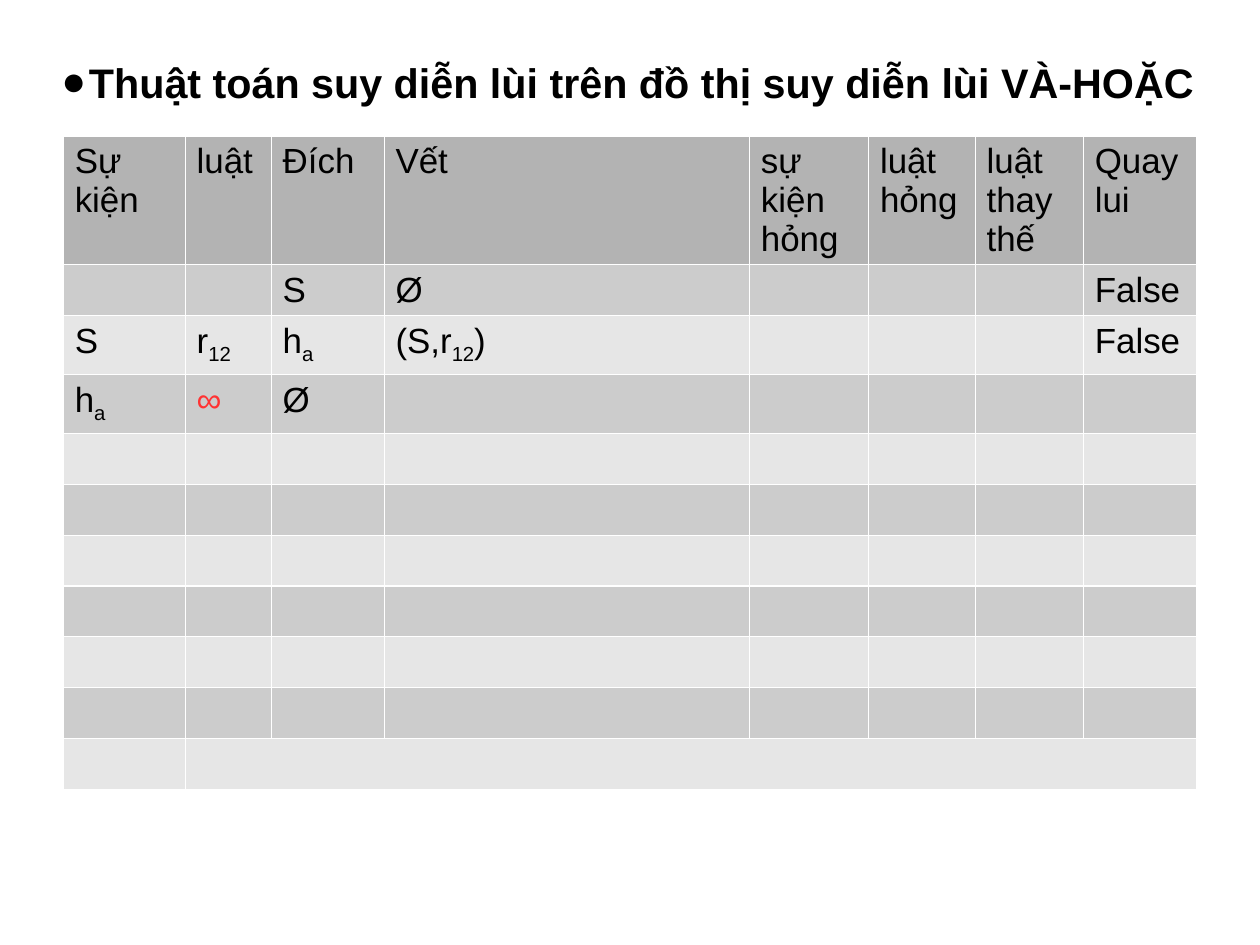
from lxml import etree
from pptx import Presentation
from pptx.dml.color import RGBColor
from pptx.enum.text import MSO_ANCHOR, MSO_AUTO_SIZE, PP_ALIGN
from pptx.oxml.ns import qn
from pptx.util import Pt

MIDDLE = MSO_ANCHOR.MIDDLE
NO_AUTOFIT = MSO_AUTO_SIZE.NONE
CENTER = PP_ALIGN.CENTER
TITLE_ONLY = 5

BLACK = RGBColor(0x00, 0x00, 0x00)
WHITE = RGBColor(0xFF, 0xFF, 0xFF)
RED = RGBColor(0xFF, 0x33, 0x33)
HEADER_GRAY = RGBColor(0xB3, 0xB3, 0xB3)
BANDS = (RGBColor(0xCC, 0xCC, 0xCC), RGBColor(0xE6, 0xE6, 0xE6))

HEADING = "Thuật toán suy diễn lùi trên đồ thị suy diễn lùi VÀ-HOẶC"
COLUMN_WIDTHS = (76.8, 54.2, 71.1, 230.2, 75, 67.2, 68.2, 71.2)
ROW_HEIGHTS = (81.2, 32, 37.2, 37.2) + (32,) * 7
STEPS = (
    ("Sự kiện", "luật", "Đích", "Vết", "sự kiện hỏng", "luật hỏng", "luật thay thế", "Quay lui"),
    ("", "", "S", "Ø", "", "", "", "False"),
    ("S", "r|12", "h|a", "(S,r|12|)", "", "", "", "False"),
    ("h|a", "∞", "Ø", "", "", "", "", ""),
)


def write(paragraph, text, *, size, color=BLACK, bold=False, font="Arial"):
    """Parts between bars alternate between normal text and subscript."""
    for position, part in enumerate(text.split("|")):
        if not part:
            continue
        run = paragraph.add_run()
        run.text = part
        run.font.name = font
        run.font.size = Pt(size)
        run.font.bold = bold
        run.font.color.rgb = color
        if position % 2:
            run._r.get_or_add_rPr().set("baseline", "-25000")


class SlideBuilder:
    heading_size = 26
    table_size = 22
    bullet_indent = 17.3
    border_width = 0.75

    def __init__(self, presentation):
        self.slide = presentation.slides.add_slide(presentation.slide_layouts[TITLE_ONLY])

    def heading(self, text, left, top, width, height):
        title = self.slide.shapes.title
        title.left, title.top, title.width, title.height = map(Pt, (left, top, width, height))
        frame = title.text_frame
        frame.margin_left = frame.margin_right = frame.margin_top = frame.margin_bottom = 0
        frame.vertical_anchor = MIDDLE
        frame.auto_size = NO_AUTOFIT
        frame.word_wrap = True
        paragraph = frame.paragraphs[0]
        paragraph.alignment = CENTER
        properties = paragraph._p.get_or_add_pPr()
        properties.set("marL", str(Pt(self.bullet_indent)))
        properties.set("indent", str(-Pt(self.bullet_indent)))
        bullet_color = etree.SubElement(properties, qn("a:buClr"))
        etree.SubElement(bullet_color, qn("a:srgbClr"), val=str(BLACK))
        etree.SubElement(properties, qn("a:buFont"), typeface="Arial")
        etree.SubElement(properties, qn("a:buChar"), char="●")
        write(paragraph, text, size=self.heading_size, bold=True)

    def border(self, cell):
        properties = cell._tc.get_or_add_tcPr()
        for side in ("lnL", "lnR", "lnT", "lnB"):
            line = etree.SubElement(properties, qn(f"a:{side}"), w=str(Pt(self.border_width)))
            fill = etree.SubElement(line, qn("a:solidFill"))
            etree.SubElement(fill, qn("a:srgbClr"), val=str(WHITE))

    def table(self, steps, left, top, widths, heights):
        grid = self.slide.shapes.add_table(
            len(heights), len(widths), Pt(left), Pt(top), Pt(sum(widths)), Pt(sum(heights))
        ).table
        for column, width in zip(grid.columns, widths):
            column.width = Pt(width)
        for index, (row, height) in enumerate(zip(grid.rows, heights)):
            row.height = Pt(height)
            for cell in row.cells:
                self.border(cell)
                cell.fill.solid()
                cell.fill.fore_color.rgb = BANDS[(index - 1) % 2] if index else HEADER_GRAY
        for row, step in zip(grid.rows, steps):
            for cell, text in zip(row.cells, step):
                color = RED if text == "∞" else BLACK
                write(cell.text_frame.paragraphs[0], text, size=self.table_size, color=color)
        last = len(heights) - 1
        grid.cell(last, 1).merge(grid.cell(last, len(widths) - 1))


def main():
    presentation = Presentation()
    presentation.slide_width = Pt(793.7)
    presentation.slide_height = Pt(595.3)
    builder = SlideBuilder(presentation)
    builder.heading(HEADING, 28.8, 22.3, 734.4, 58.3)
    builder.table(STEPS, 39.9, 85.7, COLUMN_WIDTHS, ROW_HEIGHTS)
    presentation.save("out.pptx")


if __name__ == "__main__":
    main()
